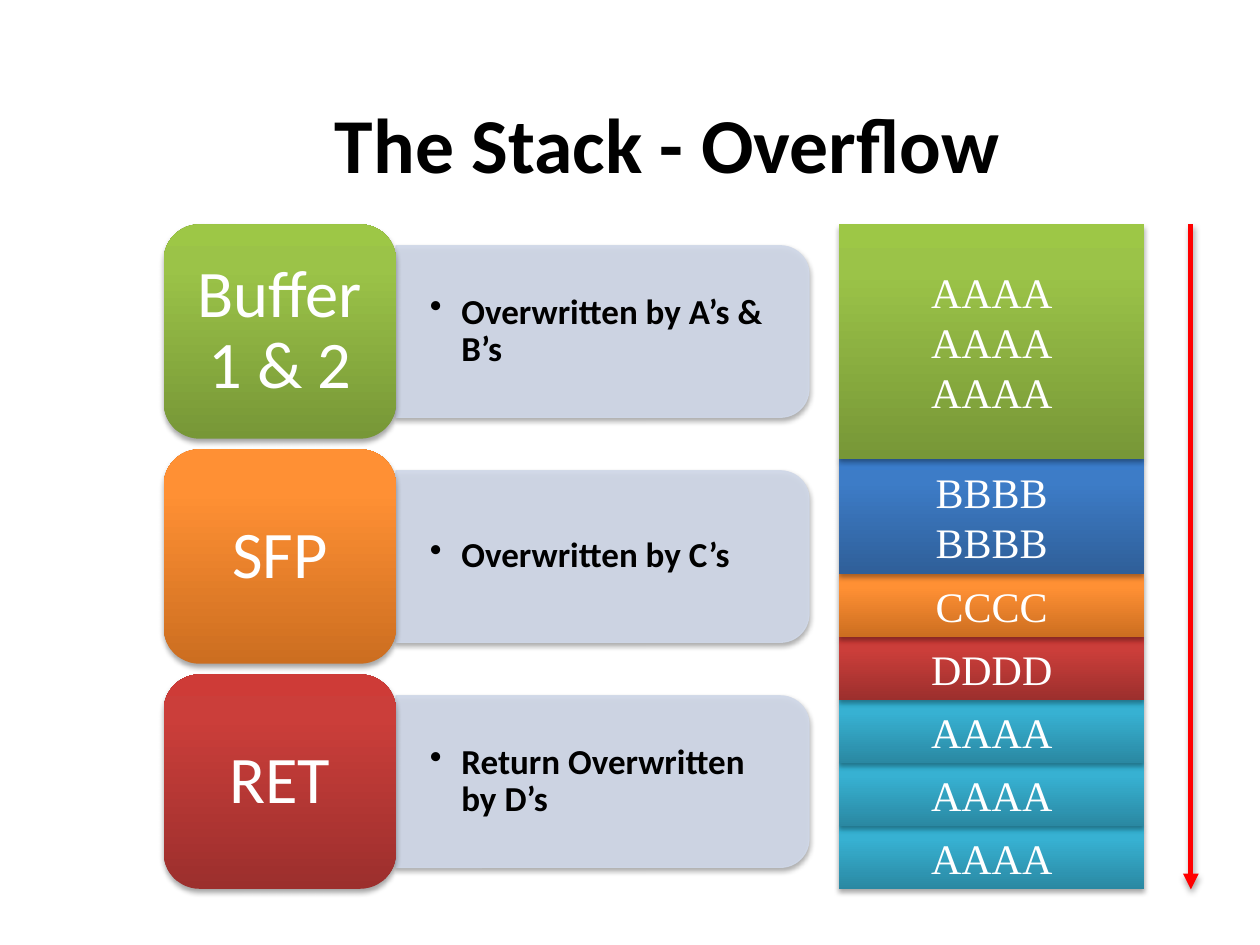
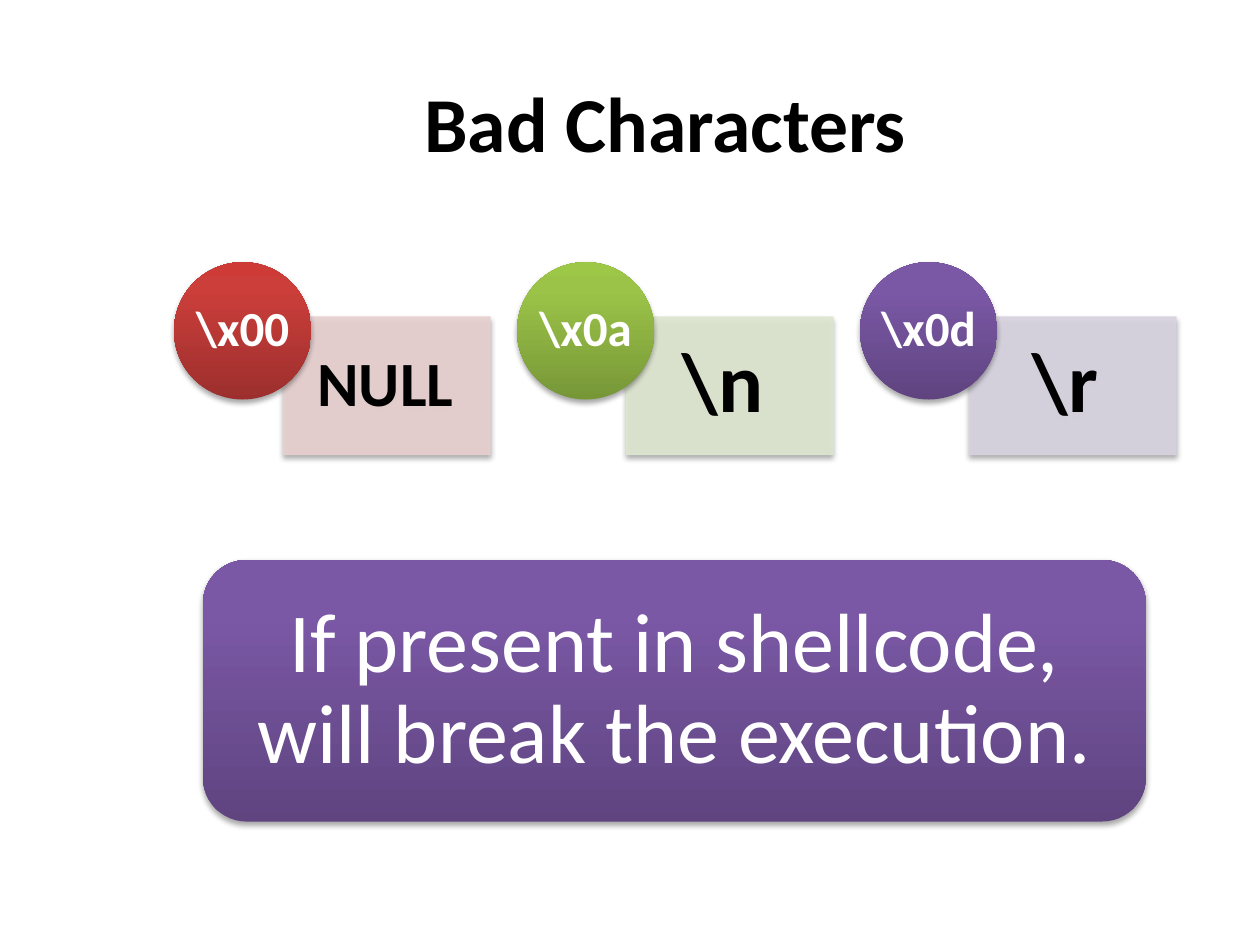
from copy import deepcopy

from lxml import etree
from pptx import Presentation
from pptx.dml.color import RGBColor
from pptx.enum.shapes import MSO_CONNECTOR, MSO_SHAPE
from pptx.enum.text import MSO_ANCHOR, PP_ALIGN
from pptx.oxml.ns import qn
from pptx.util import Pt

RECT, OVAL = MSO_SHAPE.RECTANGLE, MSO_SHAPE.OVAL
ROUND, ROUND_TOP = MSO_SHAPE.ROUNDED_RECTANGLE, MSO_SHAPE.ROUND_2_SAME_RECTANGLE
STRAIGHT = MSO_CONNECTOR.STRAIGHT
CENTER, LEFT = PP_ALIGN.CENTER, PP_ALIGN.LEFT
MIDDLE, TOP = MSO_ANCHOR.MIDDLE, MSO_ANCHOR.TOP

# Shared look: gradients run from the bottom up
GREEN = ("779737", "9BC348", "9DC746")
ORANGE = ("CC6E20", "FF9034", "FF9136")
RED = ("9C2F2D", "CB3E3A", "CE3B37")
BLUE = ("2F5F99", "3D7CC7", "3A7CCB")
TEAL = ("2A88A2", "37B1D2", "34B4D6")
PURPLE = ("5F4480", "7B58A6", "7C57A8")
STOPS = (0, 0.8, 1)
PANEL, WHITE, BLACK, ARROW = "D0D8E8", "FFFFFF", "000000", "FF0000"
SANS, SERIF = "Calibri", "Times New Roman"

# Slide 1: frame parts with notes, then memory cells with their heights
OVERFLOW_TITLE = ("The Stack - Overflow", 184.3, 51, 414)
FRAME_PARTS = [
    ("Buffer 1 & 2", GREEN, "Overwritten by A’s & B’s"),
    ("SFP", ORANGE, "Overwritten by C’s"),
    ("RET", RED, "Return Overwritten by D’s"),
]
MEMORY = [
    ("AAAA\nAAAA\nAAAA", GREEN, 134),
    ("BBBB\nBBBB", BLUE, 66),
    ("CCCC", ORANGE, 36),
    ("DDDD", RED, 36),
    ("AAAA", TEAL, 36),
    ("AAAA", TEAL, 36),
    ("AAAA", TEAL, 36),
]

# Slide 2: code, meaning, text size, circle and box colours
BAD_TITLE = ("Bad Characters", 235.4, 39.5, 312)
BAD_CHARS = [
    ("\\x00", "NULL", 36, RED, "E8D0D0"),
    ("\\x0a", "\\n", 48, GREEN, "DEE7D1"),
    ("\\x0d", "\\r", 48, PURPLE, "D8D3E0"),
]
WARNING = "If present in shellcode, will break the execution."


def rgb(value):
    return RGBColor.from_string(value)


def node(parent, tag, **attrs):
    return etree.SubElement(parent, qn(tag), {k: str(v) for k, v in attrs.items()})


def add_shadow(sp):
    effects = sp._element.spPr.find(qn("a:effectLst"))
    if effects is None:
        effects = node(sp._element.spPr, "a:effectLst")
    outer = node(effects, "a:outerShdw", blurRad=Pt(3.1), dist=Pt(1.8),
                 dir=5400000, rotWithShape=0)
    color = node(outer, "a:srgbClr", val=BLACK)
    node(color, "a:alpha", val=35000)


def fill_gradient(sp, colors):
    sp.fill.gradient()
    sp.fill.gradient_angle = 90
    stops = sp._element.spPr.find(qn("a:gradFill")).find(qn("a:gsLst"))
    stops.append(deepcopy(stops[-1]))
    for stop, color, position in zip(sp.fill.gradient_stops, colors, STOPS):
        stop.color.rgb = rgb(color)
        stop.position = position
    sp.line.fill.background()


def fill_pale(sp, color):
    sp.fill.solid()
    sp.fill.fore_color.rgb = rgb(color)
    sp.line.color.rgb = rgb(color)
    sp.line.width = Pt(0.75)
    for clr in sp._element.spPr.iter(qn("a:srgbClr")):
        node(clr, "a:alpha", val=90000)


def add_shape(s, kind, box, color):
    sp = s.shapes.add_shape(kind, *map(Pt, box))
    sp.shadow.inherit = False
    if isinstance(color, tuple):
        fill_gradient(sp, color)
    else:
        fill_pale(sp, color)
    add_shadow(sp)
    return sp


def write(sp, text, size, color=WHITE, font=SANS, bold=False, align=CENTER,
          anchor=MIDDLE, spacing=0.9, wrap=True, insets=(0, 0, 0, 0)):
    tf = sp.text_frame
    sides = ("margin_left", "margin_top", "margin_right", "margin_bottom")
    layout = dict(zip(sides, map(Pt, insets)), word_wrap=wrap, vertical_anchor=anchor)
    for name, value in layout.items():
        setattr(tf, name, value)
    p = tf.paragraphs[0]
    p.text, p.alignment, p.line_spacing = text, align, spacing
    for r in p.runs:
        for name, value in dict(size=Pt(size), name=font, bold=bold).items():
            setattr(r.font, name, value)
        r.font.color.rgb = rgb(color)
    return p


def add_slide(prs, title, left, top, width):
    s = prs.slides.add_slide(prs.slide_layouts[6])
    box = s.shapes.add_textbox(*map(Pt, (left, top, width, 57)))
    write(box, title, 44.4, BLACK, bold=True, align=LEFT, anchor=TOP,
          spacing=1.0, wrap=False, insets=(7.2, 3.6, 7.2, 3.6))
    return s


def build_overflow(prs):
    s = add_slide(prs, *OVERFLOW_TITLE)
    top = 128.2

    # Memory column, lowest cell first so each shadow falls on the next cell
    bottom = top + sum(height for _, _, height in MEMORY)
    y = bottom
    for text, color, height in reversed(MEMORY):
        y -= height
        cell = add_shape(s, RECT, (479.5, y, 174.3, height), color)
        write(cell, text, 24, font=SERIF, spacing=1.0, wrap=False)

    # Direction of the overwrite
    arrow = s.shapes.add_connector(STRAIGHT, *map(Pt, (680.5, top, 680.5, bottom)))
    arrow.line.color.rgb = rgb(ARROW)
    arrow.line.width = Pt(3)
    node(arrow.line._get_or_add_ln(), "a:tailEnd", type="triangle")
    add_shadow(arrow)

    # Frame parts: a label card with a note panel to its right
    card_w, card_h, pitch = 132.7, 122.5, 128.6
    panel_w, panel_h = 236, 98
    left = 93.6
    note_left = left + card_w
    for i, (label, color, note) in enumerate(FRAME_PARTS):
        y = top + i * pitch
        middle = y + card_h / 2
        upright = (note_left + (panel_w - panel_h) / 2, middle - panel_w / 2,
                   panel_h, panel_w)
        add_shape(s, ROUND_TOP, upright, PANEL).rotation = 90

        box = s.shapes.add_textbox(*map(Pt, (note_left, middle - 44.2, 231.2, 88.4)))
        p = write(box, note, 20, BLACK, bold=True, align=LEFT,
                  insets=(19.4, 10, 19.4, 10))
        pPr = p._p.get_or_add_pPr()
        pPr.set("marL", str(Pt(18)))
        pPr.set("indent", str(-Pt(18)))
        node(pPr, "a:buChar", char="•")

        card = add_shape(s, ROUND, (left, y, card_w, card_h), color)
        write(card, label, 38, insets=(11.4, 5.7, 11.4, 5.7))


def build_bad_characters(prs):
    s = add_slide(prs, *BAD_TITLE)

    # A code circle overlapping the box with its meaning
    size, pitch = 78.5, 196
    for i, (code, meaning, meaning_size, color, pale) in enumerate(BAD_CHARS):
        x = 99.4 + i * pitch
        box = add_shape(s, RECT, (x + 62.6, 181.2, 118, size), pale)
        write(box, meaning, meaning_size, BLACK, bold=True, wrap=False,
              insets=(18.7, 0, 0.56 * meaning_size, 0))
        circle = add_shape(s, OVAL, (x, 149.8, size, size), color)
        write(circle, code, 28, bold=True, wrap=False)

    # Warning banner
    banner = add_shape(s, ROUND, (116, 320, 538.8, 149.5), PURPLE)
    write(banner, WARNING, 48, insets=(14.4,) * 4)


def main():
    prs = Presentation()
    prs.slide_width, prs.slide_height = Pt(720), Pt(540)
    build_overflow(prs)
    build_bad_characters(prs)
    prs.save("out.pptx")


if __name__ == "__main__":
    main()
